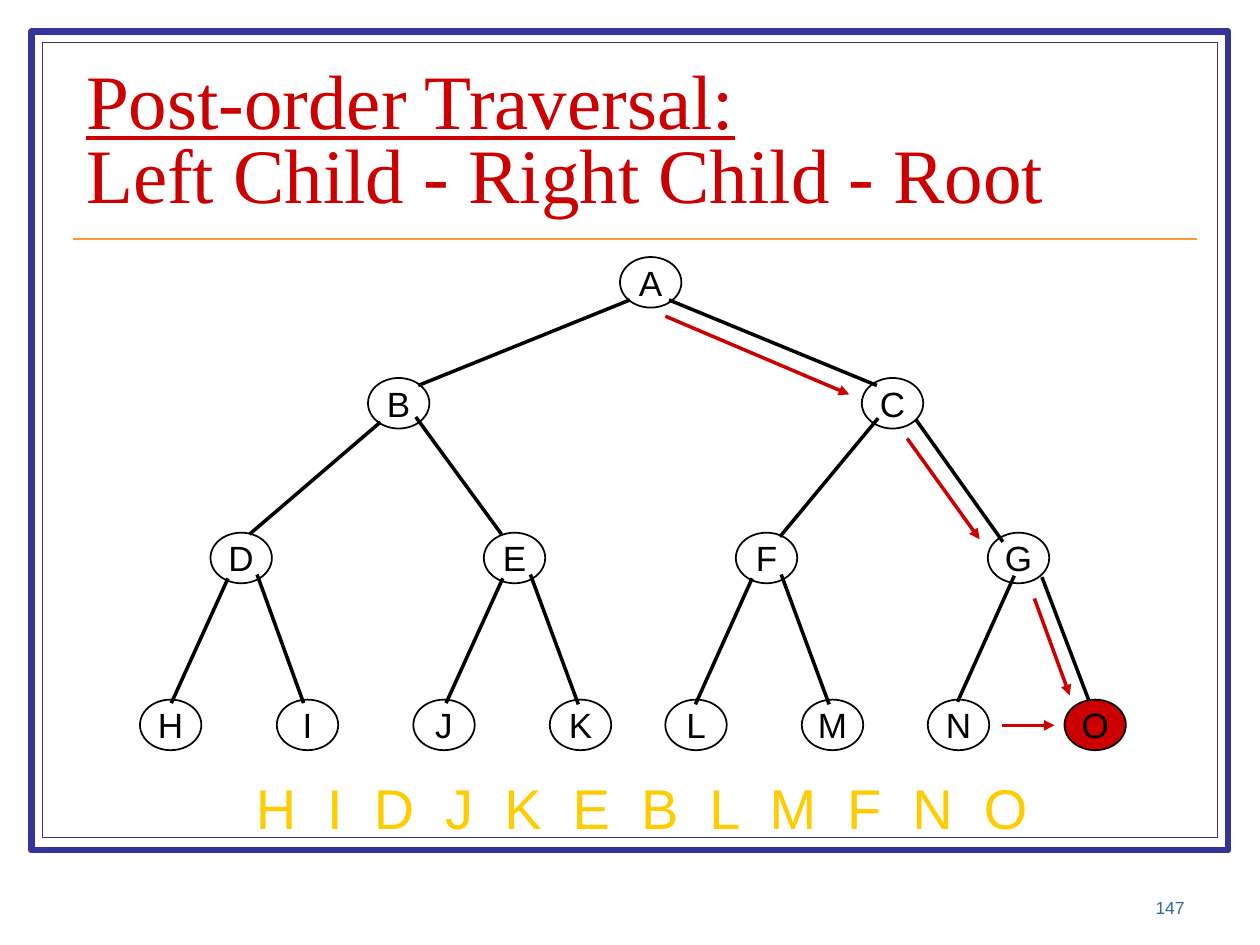
import pptx
import pptx.dml.color
import pptx.enum.shapes
import pptx.enum.text
import pptx.oxml
import pptx.oxml.ns
import pptx.util
from lxml import etree

Pt = pptx.util.Pt
ALIGN = pptx.enum.text.PP_ALIGN
ANCHOR = pptx.enum.text.MSO_ANCHOR
SHAPE = pptx.enum.shapes.MSO_SHAPE
qn = pptx.oxml.ns.qn

COLORS = {
    "white": "FFFFFF", "black": "000000", "frame": "333399", "rule": "FF9933",
    "accent": "CC0000", "output": "FFCC00", "number": "336699",
}
NODE_WIDTH, NODE_HEIGHT = 35.1, 28.9
# Each level: top, then the left side of every node
LEVELS = [
    (146.9, {"A": 354.3}),
    (216, {"B": 210.3, "C": 492.5}),
    (304.4, {"D": 120.3, "E": 276.5, "F": 420.5, "G": 564.5}),
    (399.8, {"H": 80, "I": 158.2, "J": 236.2, "K": 314.2,
             "L": 380.2, "M": 458.2, "N": 530.2, "O": 608.3}),
]
CURRENT_NODE = "O"
CURRENT_EDGE = (595.4, 329.8, 622.8, 401.8)
EDGES = [
    (360, 171.4, 239, 220.3), (382.3, 171.4, 501.1, 220.3),        # A
    (217.4, 241.2, 142.6, 305.3), (237.6, 238.3, 286.6, 305.3),    # B
    (501.8, 239, 445.7, 306.7), (523.4, 239.8, 573.1, 309.6),      # C
    (130.3, 330.5, 97.9, 401.8), (146.9, 328.3, 173.5, 401.8),     # D
    (287.3, 330.5, 254.9, 401.8), (303.1, 328.3, 330.5, 402.5),    # E
    (429.8, 330.5, 397.4, 402.5), (446.4, 328.3, 473.8, 402.5),    # F
    (579.6, 329, 547.2, 401),                                      # G
]
STEPS = [
    (380.2, 180.7, 485.3, 225.4), (518.4, 250.6, 559.8, 308.2),
    (591.1, 342, 611.3, 397.4), (572.4, 414.5, 602.6, 414.5),
]


def color(name):
    return pptx.dml.color.RGBColor.from_string(COLORS[name])


class SlideBuilder:
    def __init__(self, page, font="Arial", title_font="Times New Roman"):
        self.page = page
        self.font = font
        self.title_font = title_font

    def style(self, para, size, ink, align, font=None):
        para.alignment = align
        para.font.name = font or self.font
        para.font.size = Pt(size)
        para.font.color.rgb = color(ink)

    def shape(self, kind, left, top, width, height, fill, line, weight):
        shape = self.page.shapes.add_shape(
            kind, Pt(left), Pt(top), Pt(width), Pt(height))
        shape.shadow.inherit = False
        shape.fill.solid()
        shape.fill.fore_color.rgb = color(fill)
        shape.line.color.rgb = color(line)
        shape.line.width = Pt(weight)
        return shape

    def node(self, letter, left, top, fill):
        shape = self.shape(SHAPE.OVAL, left, top, NODE_WIDTH, NODE_HEIGHT,
                           fill, "black", 1)
        frame = shape.text_frame
        frame.margin_left = frame.margin_right = 0
        frame.margin_top = frame.margin_bottom = 0
        frame.word_wrap = False
        frame.vertical_anchor = ANCHOR.MIDDLE
        frame.text = letter
        self.style(frame.paragraphs[0], 20, "black", ALIGN.CENTER)

    def line(self, points, ink, weight, arrow=False):
        line = self.page.shapes.add_connector(
            pptx.enum.shapes.MSO_CONNECTOR.STRAIGHT, *map(Pt, points))
        line.line.color.rgb = color(ink)
        line.line.width = Pt(weight)
        if arrow:
            etree.SubElement(line.line._get_or_add_ln(), qn("a:tailEnd"),
                             type="triangle")
        etree.SubElement(line._element.spPr, qn("a:effectLst"))

    def text(self, words, left, top, width, height, size, ink, align,
             anchor=ANCHOR.TOP, wrap=True):
        box = self.page.shapes.add_textbox(
            Pt(left), Pt(top), Pt(width), Pt(height))
        frame = box.text_frame
        frame.word_wrap = wrap
        frame.vertical_anchor = anchor
        frame.text = words
        para = frame.paragraphs[0]
        self.style(para, size, ink, align)
        return para.runs[0]

    def text_shadow(self, span):
        effects = etree.SubElement(span._r.get_or_add_rPr(), qn("a:effectLst"))
        shadow = etree.SubElement(effects, qn("a:outerShdw"),
                                  dist="25400", dir="2700000")
        etree.SubElement(shadow, qn("a:srgbClr"), val=COLORS["black"])

    def title(self, heading, subheading, left, top, width, height):
        title = self.page.shapes.title
        title.left, title.top = Pt(left), Pt(top)
        title.width, title.height = Pt(width), Pt(height)
        # Bring the title in front of the filled frames
        self.page.shapes._spTree.append(title._element)
        frame = title.text_frame
        frame.auto_size = pptx.enum.text.MSO_AUTO_SIZE.NONE
        frame.word_wrap = True
        frame.vertical_anchor = ANCHOR.MIDDLE
        para = frame.paragraphs[0]
        para.line_spacing = 0.8
        span = para.add_run()
        span.text = heading
        span.font.underline = True
        para.add_line_break()
        para.add_run().text = subheading
        self.style(para, 44, "accent", ALIGN.LEFT, self.title_font)


def main():
    deck = pptx.Presentation()
    deck.slide_width, deck.slide_height = Pt(720), Pt(540)
    builder = SlideBuilder(deck.slides.add_slide(deck.slide_layouts[5]))

    builder.shape(SHAPE.RECTANGLE, 18, 18, 684, 468, "white", "frame", 3.5)
    builder.shape(SHAPE.RECTANGLE, 24.3, 24.3, 671.5, 454.5,
                  "white", "frame", 0.75)
    builder.line((42, 136.6, 684, 136.6), "rule", 1)
    builder.title("Post-order Traversal:", "Left Child - Right Child - Root",
                  42, 37.5, 642, 90)

    builder.line(CURRENT_EDGE, "black", 2)
    for top, nodes in LEVELS:
        for letter, left in nodes.items():
            fill = "accent" if letter == CURRENT_NODE else "white"
            builder.node(letter, left, top, fill)
    for edge in EDGES:
        builder.line(edge, "black", 2)
    for step in STEPS:
        builder.line(step, "accent", 2, arrow=True)

    visited = builder.text("  ".join("HIDJKEBLMFNO"), 138.2, 438.5, 458, 45.4,
                           32, "output", ALIGN.CENTER, wrap=False)
    builder.text_shadow(visited)
    builder.text("147", 534, 492, 150, 36, 10, "number", ALIGN.RIGHT,
                 ANCHOR.BOTTOM)
    deck.save("out.pptx")


if __name__ == "__main__":
    main()
